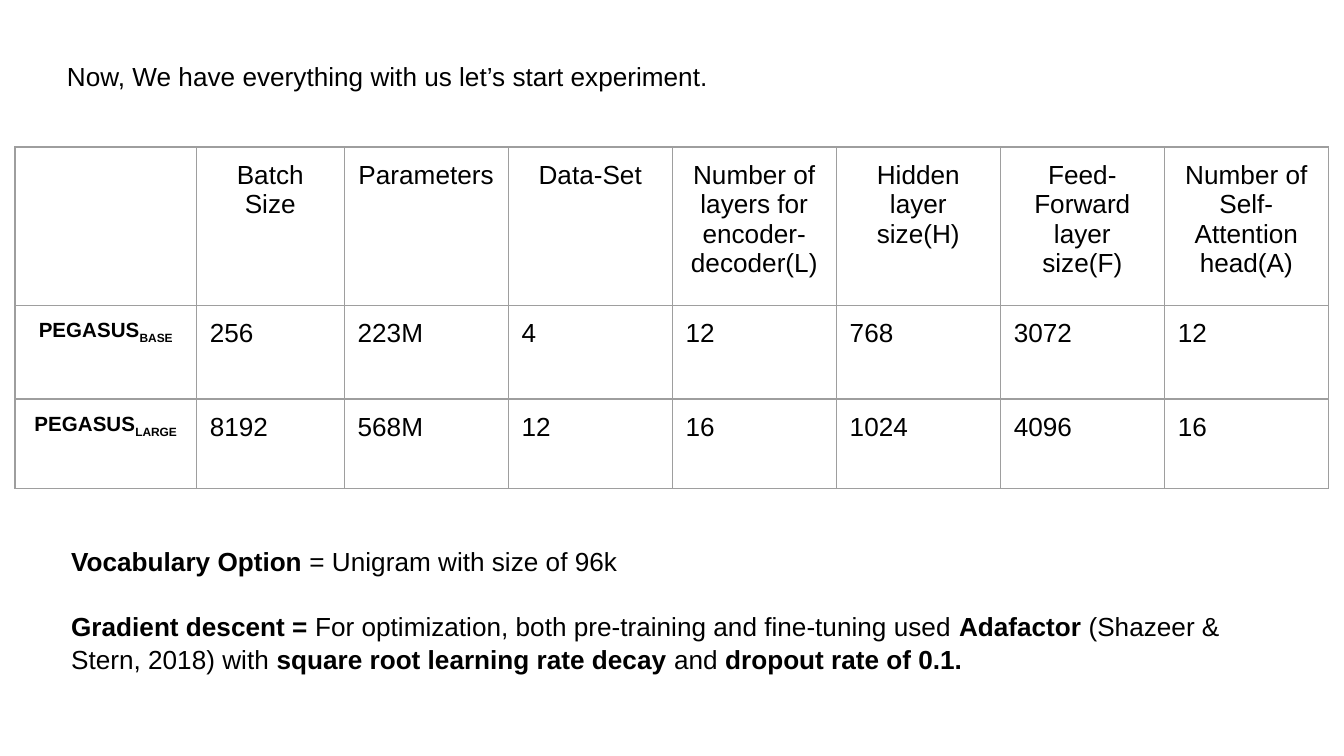
"""Build the experiment settings slide with its model table and training notes."""
from dataclasses import dataclass

from lxml.etree import SubElement
from pptx import Presentation
from pptx.dml.color import RGBColor
from pptx.enum.text import MSO_ANCHOR as Anchor, PP_ALIGN as Align
from pptx.oxml.ns import qn
from pptx.slide import Slide
from pptx.util import Pt

BLACK = RGBColor(0x00, 0x00, 0x00)
GRAY = RGBColor(0x9E, 0x9E, 0x9E)
FONT = "Arial"
INSET = Pt(7.2)
BODY_SIZE = 14
LABEL_SIZE = 11
LINE_SPACING = 1.05


@dataclass(frozen=True)
class Span:
    text: str
    bold: bool = False
    size: float = BODY_SIZE
    baseline: int = 0


@dataclass(frozen=True)
class TextBlock:
    left: float
    top: float
    width: float
    height: float
    paragraphs: tuple[tuple[Span, ...], ...]


@dataclass(frozen=True)
class Model:
    variant: str
    values: tuple[str, ...]
    height: float


HEADERS = (
    "", "Batch Size", "Parameters", "Data-Set",
    "Number of layers for encoder-decoder(L)", "Hidden layer size(H)",
    "Feed-Forward layer size(F)", "Number of Self-Attention head(A)",
)
HEADER_HEIGHT = 85
COLUMN_WIDTHS = (97.2, 79.2) + (87.9,) * 6
MODELS = (
    Model("BASE", ("256", "223M", "4", "12", "768", "3072", "12"), 50),
    Model("LARGE", ("8192", "568M", "12", "16", "1024", "4096", "16"), 48),
)
INTRO = TextBlock(28.8, 24.5, 475, 31.7, (
    (Span("Now, We have everything with us let’s start experiment."),),
))
NOTES = TextBlock(31, 284.4, 658, 82, (
    (Span("Vocabulary Option", True), Span(" = Unigram with size of 96k")),
    (
        Span("Gradient descent = ", True),
        Span("For optimization, both pre-training and fine-tuning used "),
        Span("Adafactor", True),
        Span(" (Shazeer & Stern, 2018) with "),
        Span("square root learning rate decay", True),
        Span(" and "),
        Span("dropout rate of 0.1.", True),
    ),
))


def add_spans(paragraph, spans: tuple[Span, ...]) -> None:
    for span in spans:
        run = paragraph.add_run()
        run.text = span.text
        font = run.font
        font.name, font.size, font.bold = FONT, Pt(span.size), span.bold
        font.color.rgb = BLACK
        if span.baseline:
            run._r.get_or_add_rPr().set("baseline", str(span.baseline * 1000))


def set_insets(holder) -> None:
    holder.margin_left = holder.margin_right = INSET
    holder.margin_top = holder.margin_bottom = INSET


def add_text(page: Slide, block: TextBlock) -> None:
    box = page.shapes.add_textbox(
        Pt(block.left), Pt(block.top), Pt(block.width), Pt(block.height))
    frame = box.text_frame
    frame.word_wrap = True
    set_insets(frame)
    for index, spans in enumerate(block.paragraphs):
        paragraph = frame.add_paragraph() if index else frame.paragraphs[0]
        paragraph.line_spacing = LINE_SPACING
        paragraph.space_before = Pt(17 if index else 0)
        add_spans(paragraph, spans)


def set_borders(cell) -> None:
    properties = cell._tc.get_or_add_tcPr()
    for index, side in enumerate(("lnL", "lnR", "lnT", "lnB")):
        line = properties.makeelement(qn(f"a:{side}"), {"w": str(Pt(0.75))})
        fill = SubElement(line, qn("a:solidFill"))
        SubElement(fill, qn("a:srgbClr"), val=str(GRAY))
        properties.insert(index, line)


def fill_cell(cell, spans: tuple[Span, ...], alignment: Align) -> None:
    set_insets(cell)
    cell.vertical_anchor = Anchor.TOP
    cell.fill.background()
    set_borders(cell)
    paragraph = cell.text_frame.paragraphs[0]
    paragraph.alignment = alignment
    add_spans(paragraph, spans)


def add_model_table(page: Slide) -> None:
    heights = (HEADER_HEIGHT, *(model.height for model in MODELS))
    table = page.shapes.add_table(
        len(heights), len(HEADERS), Pt(8), Pt(78.8),
        Pt(sum(COLUMN_WIDTHS)), Pt(sum(heights))).table
    table.first_row = table.horz_banding = False
    for column, width in zip(table.columns, COLUMN_WIDTHS):
        column.width = Pt(width)
    for row, height in zip(table.rows, heights):
        row.height = Pt(height)
    for column, header in enumerate(HEADERS):
        spans = (Span(header),) if header else ()
        fill_cell(table.cell(0, column), spans, Align.CENTER)
    for row, model in enumerate(MODELS, 1):
        label = (Span("PEGASUS", True, LABEL_SIZE),
                 Span(model.variant, True, LABEL_SIZE, -25))
        fill_cell(table.cell(row, 0), label, Align.CENTER)
        for column, value in enumerate(model.values, 1):
            fill_cell(table.cell(row, column), (Span(value),), Align.LEFT)


def main() -> None:
    deck = Presentation()
    deck.slide_width, deck.slide_height = Pt(720), Pt(405)
    page = deck.slides.add_slide(deck.slide_layouts[6])
    add_text(page, INTRO)
    add_model_table(page)
    add_text(page, NOTES)
    deck.save("out.pptx")


if __name__ == "__main__":
    main()
